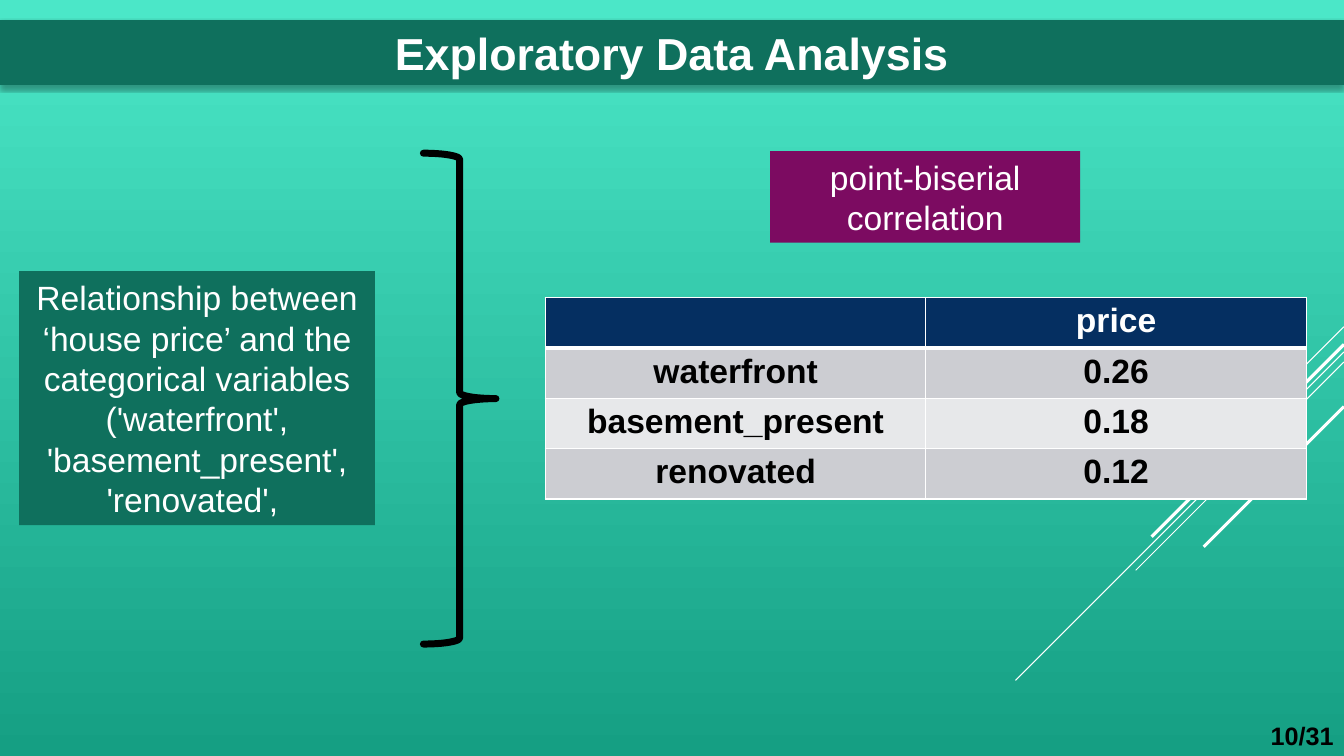
from dataclasses import dataclass
from lxml.etree import SubElement
from pptx import Presentation
from pptx.dml.color import RGBColor
from pptx.enum.shapes import MSO_CONNECTOR as Connector, MSO_SHAPE as Shape
from pptx.enum.text import MSO_ANCHOR as Anchor, PP_ALIGN as Align
from pptx.oxml.ns import qn
from pptx.util import Emu, Inches, Pt


@dataclass(frozen=True)
class Theme:
    """Colours, font and type sizes of the deck."""
    sky: str = "4BE7C8"
    sea: str = "159F83"
    green: str = "0F705D"
    plum: str = "7C0B61"
    navy: str = "052F61"
    bands: tuple = ("CCCDD2", "E7E8EA")
    white: str = "FFFFFF"
    black: str = "000000"
    font: str = "Arial"
    title: int = 32
    body: int = 24
    small: int = 18


def apply(target, values):
    """Set every attribute named in a dict of format values."""
    for name, value in values.items():
        setattr(target, name, value)


def rgb(code):
    return RGBColor.from_string(code)


class SlideBuilder:
    """Draws elements on one slide, measured in cells of a 160 by 90 grid."""
    columns, rows = 160, 90

    def __init__(self, deck, theme):
        self.theme = theme
        self.page = deck.slides.add_slide(deck.slide_layouts[6])
        self.cell_width = deck.slide_width / self.columns
        self.cell_height = deck.slide_height / self.rows

    def place(self, *lengths):
        units = (self.cell_width, self.cell_height) * 2
        return [Emu(round(length * unit)) for length, unit in zip(lengths, units)]

    def background(self, bottom, top):
        fill = self.page.background.fill
        fill.gradient()
        fill.gradient_angle = 90
        for stop, colour in zip(fill.gradient_stops, (bottom, top)):
            stop.color.rgb = rgb(colour)

    def add_text(self, frame, text, size, colour, bold=False, align=Align.CENTER):
        para = frame.paragraphs[0]
        para.alignment = align
        span = para.add_run()
        span.text = text
        apply(span.font, {"name": self.theme.font, "size": Pt(size), "bold": bold})
        span.font.color.rgb = rgb(colour)

    def ray(self, top, reach, weight):
        ends = self.place(self.columns, top, self.columns - reach, top + reach)
        line = self.page.shapes.add_connector(Connector.STRAIGHT, *ends)
        line.line.color.rgb = rgb(self.theme.white)
        line.line.width = Pt(weight)
        SubElement(line._element.spPr, qn("a:effectLst"))

    def panel(self, area, colour, text, size, bold=False):
        box = self.page.shapes.add_shape(Shape.RECTANGLE, *self.place(*area))
        box.fill.solid()
        box.fill.fore_color.rgb = rgb(colour)
        box.line.fill.background()
        box.shadow.inherit = False
        apply(box.text_frame, {"word_wrap": True, "vertical_anchor": Anchor.MIDDLE})
        self.add_text(box.text_frame, text, size, self.theme.white, bold)
        return box

    def drop_shadow(self, box, blur, distance, opacity):
        effects = box._element.spPr.find(qn("a:effectLst"))
        shadow = SubElement(effects, qn("a:outerShdw"), blurRad=str(Pt(blur)),
                            dist=str(Pt(distance)), dir="5400000", rotWithShape="0")
        colour = SubElement(shadow, qn("a:srgbClr"), val=self.theme.black)
        SubElement(colour, qn("a:alpha"), val=str(opacity * 1000))

    def brace(self, area, weight):
        brace = self.page.shapes.add_shape(Shape.RIGHT_BRACE, *self.place(*area))
        brace.fill.background()
        brace.line.color.rgb = rgb(self.theme.black)
        brace.line.width = Pt(weight)
        brace.line._ln.set("cap", "rnd")
        brace.shadow.inherit = False

    def border(self, cell, weights):
        properties = cell._tc.get_or_add_tcPr()
        for index, (side, weight) in enumerate(weights.items()):
            edge = SubElement(properties, qn(f"a:ln{side}"), w=str(Pt(weight)))
            fill = SubElement(edge, qn("a:solidFill"))
            SubElement(fill, qn("a:srgbClr"), val=self.theme.white)
            properties.insert(index, edge)

    def table(self, area, records):
        theme = self.theme
        frame = self.page.shapes.add_table(len(records), len(records[0]), *self.place(*area))
        for row, record in enumerate(records):
            fill = theme.bands[(row - 1) % 2] if row else theme.navy
            ink = theme.black if row else theme.white
            weights = {"L": 1, "R": 1, "T": 3 if row == 1 else 1, "B": 1 if row else 3}
            for column, text in enumerate(record):
                cell = frame.table.cell(row, column)
                cell.fill.solid()
                cell.fill.fore_color.rgb = rgb(fill)
                self.border(cell, weights)
                if text:
                    self.add_text(cell.text_frame, text, theme.body, ink, True)

    def label(self, area, text):
        box = self.page.shapes.add_textbox(*self.place(*area))
        apply(box.text_frame, {"word_wrap": True, "vertical_anchor": Anchor.BOTTOM})
        self.add_text(box.text_frame, text, self.theme.small, self.theme.black, True, Align.RIGHT)


def main():
    theme = Theme()
    deck = Presentation()
    apply(deck, {"slide_width": Inches(13.333), "slide_height": Inches(7.5)})
    slide = SlideBuilder(deck, theme)
    slide.background(theme.sea, theme.sky)

    rays = [(38.9, 12, 0.75), (41.9, 39.1, 0.75), (43.1, 24.8, 0.75),
            (41, 22.9, 2.25), (48.4, 16.7, 2.25)]
    for ray in rays:
        slide.ray(*ray)

    title = slide.panel((0, 2.4, 160, 7.7), theme.green,
                        "Exploratory Data Analysis", theme.title, True)
    slide.drop_shadow(title, 3.5, 2.2, 32)
    slide.panel((2.28, 32.28, 42.36, 30.24), theme.green,
                "Relationship between ‘house price’ and the categorical variables "
                "('waterfront', 'basement_present', 'renovated', ", theme.body)
    slide.panel((91.7, 18, 36.9, 10.9), theme.plum, "point-biserial correlation", theme.body)
    slide.brace((50.4, 18.24, 8.64, 58.44), 5)
    slide.table((64.92, 35.4, 90.6, 24), [
        ("", "price"),
        ("waterfront", "0.26"),
        ("basement_present", "0.18"),
        ("renovated", "0.12"),
    ])
    slide.label((149.64, 84.84, 10.32, 5.16), "10/31")
    deck.save("out.pptx")


main()
